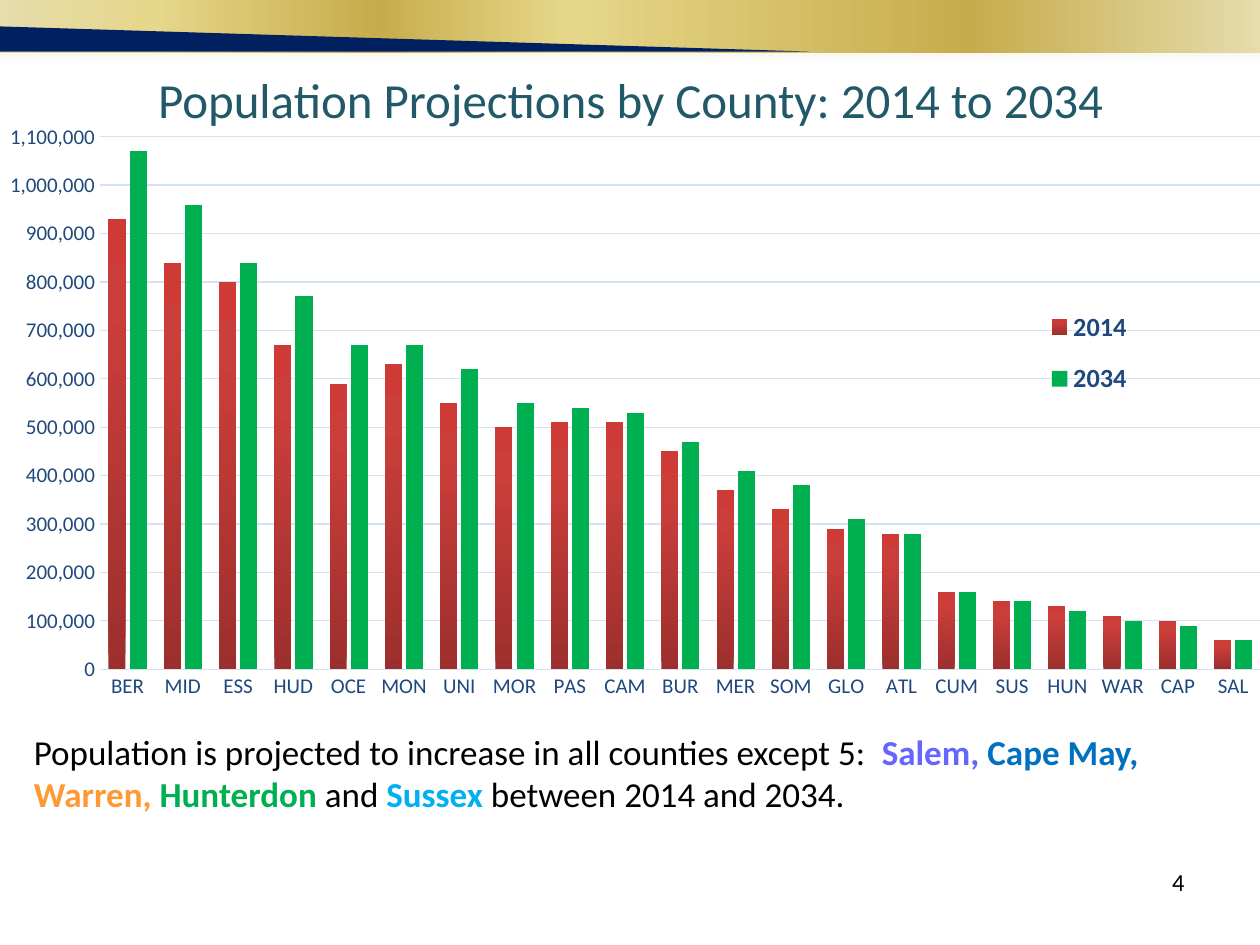
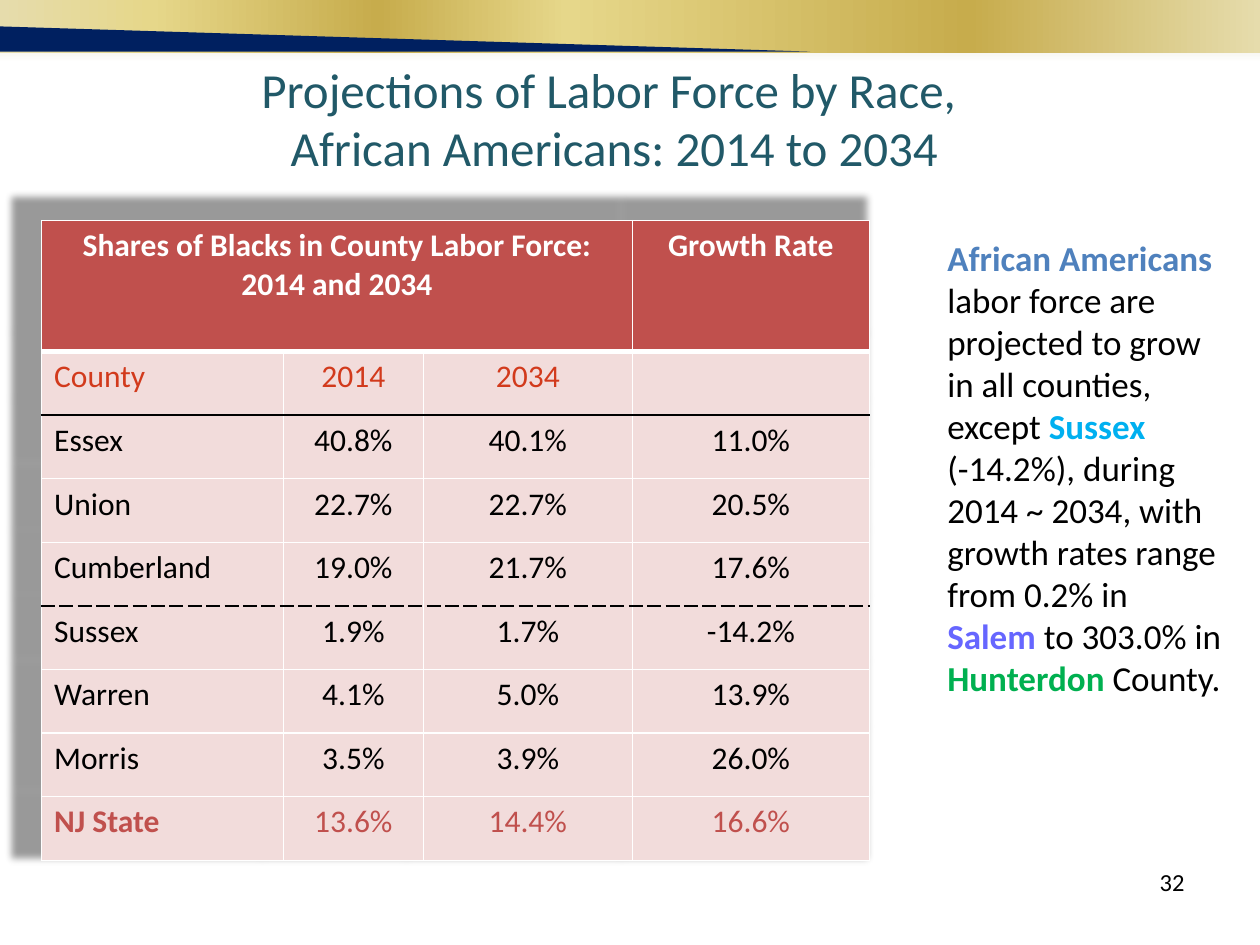
import pptx
import pptx.chart.data
import pptx.dml.color
import pptx.enum.chart
import pptx.enum.shapes
import pptx.enum.text
import pptx.oxml
import pptx.oxml.ns
import pptx.util

Inches, Pt = pptx.util.Inches, pptx.util.Pt
RGB = pptx.dml.color.RGBColor
ALIGN = pptx.enum.text.PP_ALIGN
XL = pptx.enum.chart
qn, nsdecls = pptx.oxml.ns.qn, pptx.oxml.ns.nsdecls

FONT = "Calibri"
BLACK, WHITE = RGB(0, 0, 0), RGB(255, 255, 255)
TEAL = RGB(0x21, 0x59, 0x68)
NAVY = RGB(0x00, 0x20, 0x60)
AXIS_BLUE = RGB(0x1F, 0x49, 0x7D)
GRID_BLUE = RGB(0xD4, 0xE3, 0xF4)
VIOLET = RGB(0x66, 0x66, 0xFF)
BLUE = RGB(0x00, 0x70, 0xC0)
ORANGE = RGB(0xFF, 0x99, 0x33)
GREEN = RGB(0x00, 0xB0, 0x50)
SKY = RGB(0x00, 0xB0, 0xF0)
STEEL = RGB(0x4F, 0x81, 0xBD)
RED = RGB(0xC0, 0x50, 0x4D)
BRICK = RGB(0xD2, 0x3A, 0x1C)
PINK = RGB(0xF2, 0xDC, 0xDB)
CREAM = RGB(0xEE, 0xEC, 0xE1)
GOLD, PALE_GOLD, LIGHT_GOLD = RGB(0xC7, 0xAC, 0x4C), RGB(0xE6, 0xDC, 0xAC), RGB(0xE6, 0xD7, 0x8A)

GOLD_STOPS = [(0, PALE_GOLD), (12, LIGHT_GOLD), (30, GOLD), (45, LIGHT_GOLD), (77, GOLD), (100, PALE_GOLD)]
FADE_STOPS = [(0, CREAM), (100, WHITE)]
RED_STOPS = [(0, RGB(0x9C, 0x2F, 0x2D)), (80, RGB(0xCB, 0x3E, 0x3A)), (100, RGB(0xCE, 0x3B, 0x37))]

# Text is a list of paragraphs, each a list of runs; a (text, colour) run is bold.
COUNTY_TITLE = [["Population Projections by County: 2014 to 2034"]]
COUNTY_NOTE = [[
    "Population is projected to increase in all counties except 5:  ",
    ("Salem, ", VIOLET), ("Cape May, ", BLUE), ("Warren, ", ORANGE), ("Hunterdon ", GREEN),
    "and ", ("Sussex ", SKY), "between 2014 and 2034."]]
POPULATION = [  # county, 2014, 2034, in thousands
    ("BER", 930, 1070), ("MID", 840, 960), ("ESS", 800, 840), ("HUD", 670, 770),
    ("OCE", 590, 670), ("MON", 630, 670), ("UNI", 550, 620), ("MOR", 500, 550),
    ("PAS", 510, 540), ("CAM", 510, 530), ("BUR", 450, 470), ("MER", 370, 410),
    ("SOM", 330, 380), ("GLO", 290, 310), ("ATL", 280, 280), ("CUM", 160, 160),
    ("SUS", 140, 140), ("HUN", 130, 120), ("WAR", 110, 100), ("CAP", 100, 90),
    ("SAL", 60, 60)]

LABOR_TITLE = [["Projections of Labor Force by Race, "], ["African Americans: 2014 to 2034"]]
LABOR_NOTE = [[
    ("African Americans ", STEEL), "labor force are projected to grow in all counties, except ",
    ("Sussex", SKY), " (-14.2%), during 2014 ~ 2034, with growth rates range from 0.2% in ",
    ("Salem", VIOLET), " to 303.0% in ", ("Hunterdon", GREEN), " County."]]
SHARES = [
    ("Shares of Blacks in County Labor Force: 2014 and 2034", "", "", "Growth Rate"),
    ("County", "2014", "2034", ""),
    ("Essex", "40.8%", "40.1%", "11.0%"),
    ("Union", "22.7%", "22.7%", "20.5%"),
    ("Cumberland", "19.0%", "21.7%", "17.6%"),
    ("Sussex", "1.9%", "1.7%", "-14.2%"),
    ("Warren", "4.1%", "5.0%", "13.9%"),
    ("Morris", "3.5%", "3.9%", "26.0%"),
    ("NJ State", "13.6%", "14.4%", "16.6%")]
COLUMN_WIDTHS = [1.92, 1.11, 1.66, 1.88]
TABLE_HEIGHT, HEADER_HEIGHT = 5.08, 1.04
ROW_COLORS = {0: WHITE, 1: BRICK, len(SHARES) - 1: RED}
THIN_WHITE = (WHITE, 1, "solid")
ROW_RULES = {0: (WHITE, 3, "solid"), 1: (BLACK, 1, "solid"), 4: (BLACK, 1, "sysDash")}  # below row


def style_font(font, size, color, bold=False):
    font.name, font.size, font.bold = FONT, Pt(size), bold
    font.color.rgb = color


def write(tf, paragraphs, size=20, color=BLACK, bold=False, align=ALIGN.LEFT):
    tf.word_wrap = True
    for i, runs in enumerate(paragraphs):
        p = tf.paragraphs[0] if i == 0 else tf.add_paragraph()
        p.alignment = align
        style_font(p.font, size, color, bold)
        for run in runs:
            text, run_color, run_bold = (run, color, bold) if isinstance(run, str) else (*run, True)
            r = p.add_run()
            r.text = text
            style_font(r.font, size, run_color, run_bold)


def add_text(s, box, paragraphs, **style):
    sp = s.shapes.add_textbox(*map(Inches, box))
    write(sp.text_frame, paragraphs, **style)


def fill_gradient(fill, element, stops, angle):
    """Give the fill of element any number of (percent, colour) stops; angle is counter-clockwise."""
    fill.gradient()
    fill.gradient_angle = angle
    stop_list = element.find(".//" + qn("a:gsLst"))
    for stop in list(stop_list):
        stop_list.remove(stop)
    for percent, color in stops:
        stop_list.append(pptx.oxml.parse_xml(
            f'<a:gs {nsdecls("a")} pos="{percent * 1000}"><a:srgbClr val="{color}"/></a:gs>'))


def add_band(s, box, stops, angle):
    sp = s.shapes.add_shape(pptx.enum.shapes.MSO_SHAPE.RECTANGLE, *map(Inches, box))
    sp.shadow.inherit = False
    sp.line.fill.background()
    fill_gradient(sp.fill, sp.element, stops, angle)


def add_base_slide(prs, title, title_box, number):
    s = prs.slides.add_slide(prs.slide_layouts[6])
    add_band(s, (0, 0.33, 10, 0.17), FADE_STOPS, 270)
    add_band(s, (0, 0, 10, 0.42), GOLD_STOPS, 0)
    builder = s.shapes.build_freeform(0, Inches(0.21), scale=1.0)
    builder.add_line_segments([(Inches(6.43), Inches(0.41)), (0, Inches(0.41))])
    wedge = builder.convert_to_shape()
    wedge.shadow.inherit = False
    wedge.fill.solid()
    wedge.fill.fore_color.rgb = NAVY
    wedge.line.fill.background()
    add_text(s, title_box, title, size=28, color=TEAL, align=ALIGN.CENTER)
    add_text(s, (7.17, 6.83, 2.33, 0.52), [[number]], size=14, align=ALIGN.RIGHT)
    return s


def set_layout(element, before, x, y, w, h, inner=False):
    """Place a chart part by fractions of the chart, ahead of the child named before."""
    for old in element.findall(qn("c:layout")):
        element.remove(old)
    target = '<c:layoutTarget val="inner"/>' if inner else ""
    layout = pptx.oxml.parse_xml(
        f'<c:layout {nsdecls("c")}><c:manualLayout>{target}'
        '<c:xMode val="edge"/><c:yMode val="edge"/>'
        f'<c:x val="{x}"/><c:y val="{y}"/><c:w val="{w}"/><c:h val="{h}"/>'
        '</c:manualLayout></c:layout>')
    element.find(qn(before)).addprevious(layout)


def add_population_chart(s):
    counties, *years = zip(*POPULATION)
    data = pptx.chart.data.CategoryChartData(number_format="#,##0")
    data.categories = counties
    for name, thousands in zip(("2014", "2034"), years):
        data.add_series(name, [value * 1000 for value in thousands])
    chart = s.shapes.add_chart(XL.XL_CHART_TYPE.COLUMN_CLUSTERED, Inches(0), Inches(0.91),
                               Inches(10.17), Inches(5.18), data).chart
    chart.has_title = False
    style_font(chart.font, 10, BLACK)

    plot = chart.plots[0]
    plot.gap_width, plot.overlap, plot.vary_by_categories = 100, -24, False
    first, second = plot.series
    fill_gradient(first.format.fill, first._element, RED_STOPS, 90)
    second.format.fill.solid()
    second.format.fill.fore_color.rgb = GREEN

    values = chart.value_axis
    values.minimum_scale, values.maximum_scale, values.major_unit = 0, 1100000, 100000
    values.tick_labels.number_format = "#,##0"
    values.tick_labels.number_format_is_linked = False
    values.format.line.fill.background()
    for axis in (values, chart.category_axis):
        axis.major_tick_mark = axis.minor_tick_mark = XL.XL_TICK_MARK.NONE
        style_font(axis.tick_labels.font, 12, AXIS_BLUE)
    for line in (values.major_gridlines.format.line, chart.category_axis.format.line):
        line.color.rgb = GRID_BLUE
        line.width = Pt(0.75)

    chart.has_legend = True
    legend = chart.legend
    legend.position = XL.XL_LEGEND_POSITION.BOTTOM
    legend.include_in_layout = False
    style_font(legend.font, 15, AXIS_BLUE, bold=True)
    set_layout(legend._element, "c:overlay", 0.8, 0.27, 0.1, 0.19)
    plot_area = chart._chartSpace.find(".//" + qn("c:plotArea"))
    set_layout(plot_area, "c:barChart", 0.078, 0.034, 0.906, 0.816, inner=True)


def set_borders(cell, **borders):
    """Draw cell sides L, R, T and B, each a (colour, points, dash) triple."""
    for side, (color, width, dash) in borders.items():
        cell._tc.get_or_add_tcPr().append(pptx.oxml.parse_xml(
            f'<a:ln{side} {nsdecls("a")} w="{Pt(width)}"><a:solidFill><a:srgbClr val="{color}"/>'
            f'</a:solidFill><a:prstDash val="{dash}"/></a:ln{side}>'))


def add_shares_table(s):
    table = s.shapes.add_table(len(SHARES), len(COLUMN_WIDTHS), Inches(0.33), Inches(1.75),
                               Inches(sum(COLUMN_WIDTHS)), Inches(TABLE_HEIGHT)).table
    table.first_row = table.horz_banding = False
    for column, width in zip(table.columns, COLUMN_WIDTHS):
        column.width = Inches(width)
    row_height = (TABLE_HEIGHT - HEADER_HEIGHT) / (len(SHARES) - 1)
    for i, texts in enumerate(SHARES):
        table.rows[i].height = Inches(row_height if i else HEADER_HEIGHT)
        for j, text in enumerate(texts):
            cell = table.cell(i, j)
            set_borders(cell, L=THIN_WHITE, R=THIN_WHITE, T=ROW_RULES.get(i - 1, THIN_WHITE),
                        B=ROW_RULES.get(i, THIN_WHITE))
            cell.fill.solid()
            cell.fill.fore_color.rgb = PINK if i else RED
            write(cell.text_frame, [[text] if text else []], size=18,
                  color=ROW_COLORS.get(i, BLACK),
                  bold=i == 0 or (i == len(SHARES) - 1 and j == 0),
                  align=ALIGN.LEFT if i and j == 0 else ALIGN.CENTER)
    table.cell(0, 0).merge(table.cell(0, 2))
    table._tbl.tblPr.insert(0, pptx.oxml.parse_xml(
        f'<a:effectLst {nsdecls("a")}><a:outerShdw blurRad="50800" dist="38100" dir="13500000" '
        'sx="103000" sy="103000" algn="br" rotWithShape="0"><a:srgbClr val="000000">'
        '<a:alpha val="40000"/></a:srgbClr></a:outerShdw></a:effectLst>'))


def main():
    prs = pptx.Presentation()
    prs.slide_width, prs.slide_height = Inches(10), Inches(7.5)

    s = add_base_slide(prs, COUNTY_TITLE, (0.92, 0.5, 8.17, 0.57), "4")
    add_population_chart(s)
    add_text(s, (0.17, 5.75, 9.5, 0.77), COUNTY_NOTE)

    s = add_base_slide(prs, LABOR_TITLE, (1.25, 0.42, 7.25, 1.04), "32")
    add_shares_table(s)
    add_text(s, (7.42, 1.83, 2.38, 3.8), LABOR_NOTE)

    prs.save("out.pptx")


if __name__ == "__main__":
    main()
